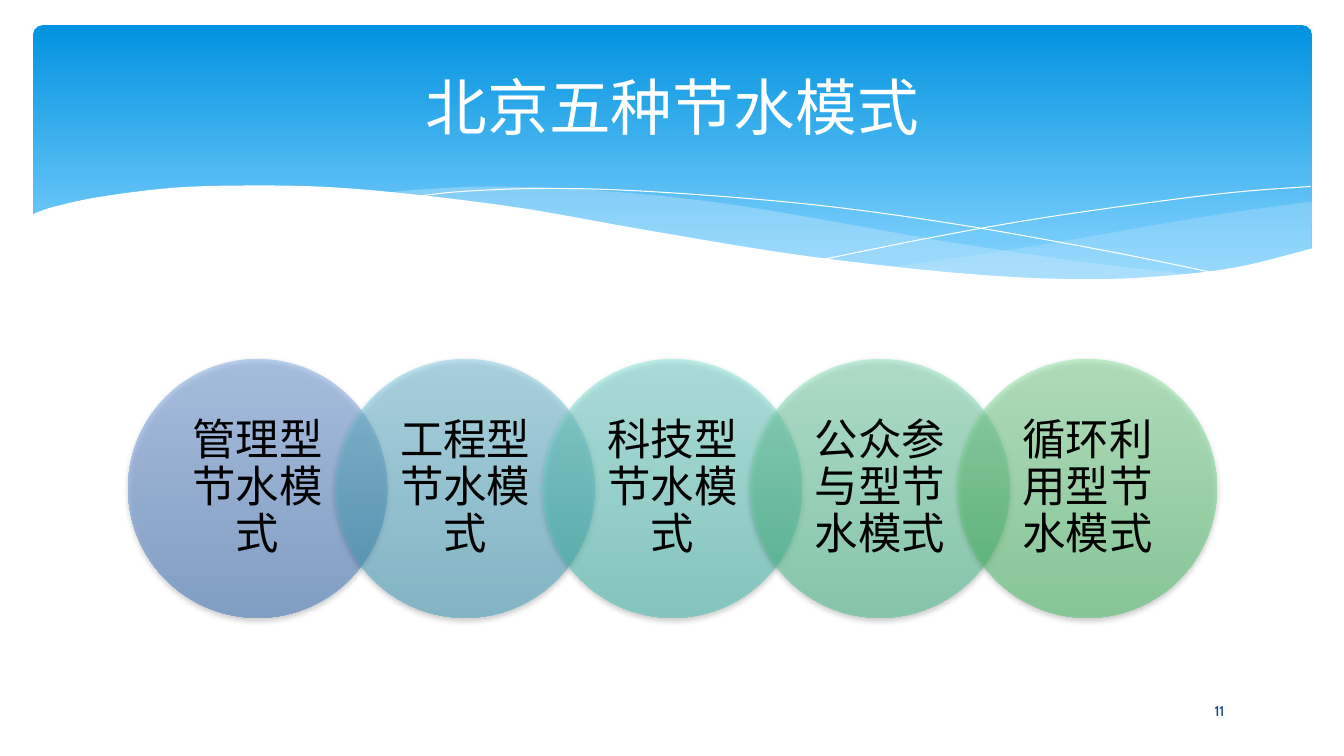
from lxml import etree
from pptx import Presentation
from pptx import util as u
from pptx.dml.color import RGBColor
from pptx.enum import shapes, text
from pptx.oxml.ns import qn

FONT = "Cabin"
WHITE = RGBColor(0xFF, 0xFF, 0xFF)
BLACK = RGBColor(0x00, 0x00, 0x00)
NAVY = RGBColor(0x07, 0x3E, 0x87)
PALE_BLUE = RGBColor(0xC6, 0xE7, 0xFC)
BANNER_TOP = RGBColor(0x02, 0x93, 0xE0)
BANNER_BOTTOM = RGBColor(0x83, 0xD3, 0xFE)

MODES = [
    ("管理型节水模式", RGBColor(0x80, 0xAC, 0xEA), RGBColor(0x35, 0x70, 0xBA)),
    ("工程型节水模式", RGBColor(0x84, 0xD1, 0xE9), RGBColor(0x38, 0x9D, 0xBB)),
    ("科技型节水模式", RGBColor(0x89, 0xE9, 0xDF), RGBColor(0x3B, 0xBD, 0xB0)),
    ("公众参与型节水模式", RGBColor(0x8E, 0xE8, 0xC0), RGBColor(0x3E, 0xBE, 0x87)),
    ("循环利用型节水模式", RGBColor(0x92, 0xE8, 0xA6), RGBColor(0x41, 0xBF, 0x60)),
]

RIGHT_BAND = [
    [(12.68, 1.75), (11.94, 1.85), (11.14, 1.98), (10.05, 2.17), (9.08, 2.32), (8.49, 2.4)],
    [(8.49, 2.4), (9.07, 2.46), (9.76, 2.51), (10.52, 2.53), (11.3, 2.49), (11.95, 2.4),
     (12.68, 2.22)],
]
LEFT_BAND = [
    [(11.57, 2.48), (10.43, 2.35), (9.08, 2.15), (8.06, 1.97), (7.07, 1.8), (6.19, 1.69),
     (5.27, 1.62), (4.49, 1.6), (3.85, 1.63), (3.49, 1.66)],
    [(3.49, 1.66), (4.5, 1.78), (5.66, 1.97), (6.73, 2.15), (7.91, 2.33), (8.93, 2.45),
     (9.81, 2.52), (10.71, 2.53), (11.57, 2.48)],
]
FALLING_LINE = [
    [(3.79, 1.7), (4.25, 1.65), (5.02, 1.62), (5.92, 1.64), (7.09, 1.72), (8.15, 1.83),
     (9.37, 2.01), (10.75, 2.26), (11.77, 2.47)],
]
RISING_LINE = [
    [(7.85, 2.32), (8.94, 2.1), (10.02, 1.91), (11.22, 1.74), (11.99, 1.65), (12.67, 1.6)],
]
WHITE_WAVE = [
    [(12.7, 2.21), (11.94, 2.4), (11.18, 2.49), (10.45, 2.52), (9.59, 2.49), (8.58, 2.4),
     (7.39, 2.25), (6.01, 2.02), (4.88, 1.82), (3.88, 1.69), (3, 1.61), (2.25, 1.59),
     (1.43, 1.61), (0.68, 1.7), (0.21, 1.8), (-0.02, 1.88)],
    [(-0.02, 3.04), (12.7, 3.04)],
]


def smooth_points(knots, steps=6):
    """Return points on a Catmull-Rom curve through the knots."""
    padded = [knots[0], *knots, knots[-1]]
    points = [knots[0]]
    for a, b, c, d in zip(padded, padded[1:], padded[2:], padded[3:]):
        for step in range(1, steps + 1):
            t = step / steps
            points.append(tuple(
                (2 * q + (r - p) * t + (2 * p - 5 * q + 4 * r - s) * t ** 2
                 + (3 * q - p - 3 * r + s) * t ** 3) / 2
                for p, q, r, s in zip(a, b, c, d)))
    return points


def set_opacity(shape, percent):
    """Make the fill colours of a shape partly transparent."""
    for colour in shape._element.spPr.iter(qn("a:srgbClr")):
        etree.SubElement(colour, qn("a:alpha"), val=str(percent * 1000))


def fill_gradient(shape, top_colour, bottom_colour, end=1):
    """Fill a shape from top to bottom, without outline or shadow."""
    shape.fill.gradient()
    shape.fill.gradient_angle = 270
    first, last = shape.fill.gradient_stops
    first.color.rgb, first.position = top_colour, 0
    last.color.rgb, last.position = bottom_colour, end
    shape.line.fill.background()
    shape.shadow.inherit = False


def add_shadow(shape):
    """Add a soft shadow just below a shape."""
    effects = shape._element.spPr.find(qn("a:effectLst"))
    shadow = etree.SubElement(effects, qn("a:outerShdw"), blurRad=str(u.Pt(4)),
                              dist=str(u.Pt(2)), dir="5400000", rotWithShape="0")
    colour = etree.SubElement(shadow, qn("a:srgbClr"), val=str(BLACK))
    etree.SubElement(colour, qn("a:alpha"), val="38000")


def add_curve(slide, box, curves, fill=None, opacity=100):
    """Draw curves inside a box as a filled outline or a white hairline."""
    left, top = box[:2]
    points = [(u.Inches(left + x), u.Inches(top + y))
              for knots in curves for x, y in smooth_points(knots)]
    builder = slide.shapes.build_freeform(*points[0])
    builder.add_line_segments(points[1:], close=fill is not None)
    shape = builder.convert_to_shape()
    shape.shadow.inherit = False
    if fill is None:
        shape.fill.background()
        shape.line.color.rgb = WHITE
        shape.line.width = u.Pt(0)
    else:
        shape.fill.solid()
        shape.fill.fore_color.rgb = fill
        shape.line.fill.background()
        if opacity < 100:
            set_opacity(shape, opacity)


def add_label(slide, box, words, size, colour, margins=(0.1, 0.05), spacing=1.0):
    """Write centred words in the middle of a box."""
    frame = slide.shapes.add_textbox(*map(u.Inches, box)).text_frame
    frame.word_wrap = True
    frame.vertical_anchor = text.MSO_ANCHOR.MIDDLE
    frame.margin_left = frame.margin_right = u.Inches(margins[0])
    frame.margin_top = frame.margin_bottom = u.Inches(margins[1])
    paragraph = frame.paragraphs[0]
    paragraph.alignment = text.PP_ALIGN.CENTER
    paragraph.line_spacing = spacing
    run = paragraph.add_run()
    run.text = words
    run.font.name = FONT
    run.font.size = u.Pt(size)
    run.font.color.rgb = colour


def add_banner(slide, box, title):
    """Draw the blue wave banner and its title in a box."""
    banner = slide.shapes.add_shape(shapes.MSO_SHAPE.ROUNDED_RECTANGLE, *map(u.Inches, box))
    banner.adjustments[0] = 0.034
    fill_gradient(banner, BANNER_TOP, BANNER_BOTTOM, 0.9)
    add_curve(slide, box, RIGHT_BAND, PALE_BLUE, 29)
    add_curve(slide, box, LEFT_BAND, PALE_BLUE, 40)
    add_curve(slide, box, FALLING_LINE)
    add_curve(slide, box, RISING_LINE)
    add_curve(slide, box, WHITE_WAVE, WHITE)
    left, top, width, height = box
    add_label(slide, (left + 0.34, top + 0.12, width - 0.68, 1.37), title, 44, WHITE)


def add_mode_circles(slide, box):
    """Draw a row of overlapping circles, one for each mode, in a box."""
    left, top, width, diameter = box
    pitch = (width - diameter) / (len(MODES) - 1)
    inset = diameter * (1 - 0.5 ** 0.5) / 2
    side = diameter - 2 * inset
    for index, (words, top_colour, bottom_colour) in enumerate(MODES):
        x = left + index * pitch
        circle = slide.shapes.add_shape(
            shapes.MSO_SHAPE.OVAL, *map(u.Inches, (x, top, diameter, diameter)))
        fill_gradient(circle, top_colour, bottom_colour)
        set_opacity(circle, 50)
        add_shadow(circle)
        add_label(slide, (x + inset, top + inset, side, side), words, 31, BLACK,
                  (0.14, 0.04), 0.9)


def main():
    """Build and save the slide."""
    presentation = Presentation()
    presentation.slide_width = u.Inches(13.33)
    presentation.slide_height = u.Inches(7.5)
    slide = presentation.slides.add_slide(presentation.slide_layouts[6])
    add_banner(slide, (0.33, 0.25, 12.68, 2.7), "北京五种节水模式")
    add_mode_circles(slide, (1.27, 3.56, 10.8, 2.57))
    add_label(slide, (11.25, 6.85, 1.69, 0.4), "11", 10, NAVY)
    presentation.save("out.pptx")


if __name__ == "__main__":
    main()
